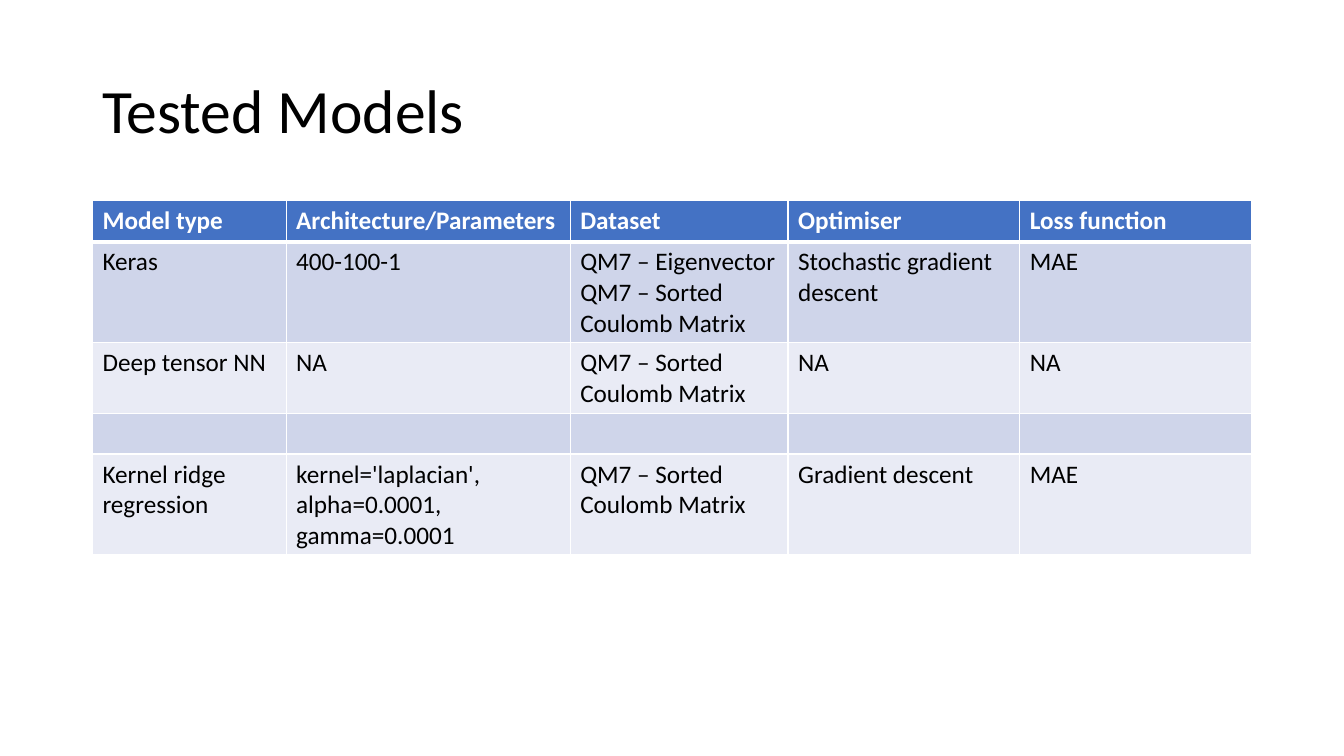
from lxml.etree import SubElement
from pptx import Presentation
from pptx.dml.color import RGBColor
from pptx.enum.text import MSO_ANCHOR
from pptx.oxml.ns import qn
from pptx.util import Cm, Pt

WHITE, BLACK, BLUE = "FFFFFF", "000000", "4472C4"
BANDS = ["E9EBF5", "CFD5EA"]
COLUMN_WIDTHS = [4.88, 7.16, 5.49, 5.84, 5.84]
ROWS = [
    ["Model type", "Architecture/Parameters", "Dataset", "Optimiser", "Loss function"],
    ["Keras", "400-100-1", "QM7 – Eigenvector\nQM7 – Sorted Coulomb Matrix",
     "Stochastic gradient descent", "MAE"],
    ["Deep tensor NN", "NA", "QM7 – Sorted Coulomb Matrix", "NA", "NA"],
    [""] * 5,
    ["Kernel ridge regression", "kernel='laplacian', alpha=0.0001, gamma=0.0001",
     "QM7 – Sorted Coulomb Matrix", "Gradient descent", "MAE"],
]


def write(frame, text, size=18, color=BLACK, bold=False, spacing=None):
    frame.text = text
    for para in frame.paragraphs:
        para.line_spacing = spacing
        for span in para.runs:
            span.font.name = "Calibri"
            span.font.size = Pt(size)
            span.font.bold = bold
            span.font.color.rgb = RGBColor.from_string(color)


def add_borders(cell, **widths):
    """Draw white cell borders; widths are points keyed by L, R, T and B."""
    properties = cell._tc.get_or_add_tcPr()
    for side, width in widths.items():
        line = SubElement(properties, qn(f"a:ln{side}"), w=str(Pt(width)))
        fill = SubElement(line, qn("a:solidFill"))
        SubElement(fill, qn("a:srgbClr"), val=WHITE)


deck = Presentation()
deck.slide_width, deck.slide_height = Cm(33.87), Cm(19.05)
page = deck.slides.add_slide(deck.slide_layouts[6])

title = page.shapes.add_textbox(Cm(2.33), Cm(1.01), Cm(29.21), Cm(3.68))
title.text_frame.word_wrap = True
title.text_frame.vertical_anchor = MSO_ANCHOR.MIDDLE
write(title.text_frame, "Tested Models", size=44, spacing=0.9)

models = page.shapes.add_table(
    len(ROWS), len(COLUMN_WIDTHS), Cm(2.33), Cm(5.06), Cm(29.21), Cm(5.15)).table
for column, width in zip(models.columns, COLUMN_WIDTHS):
    column.width = Cm(width)

for row_index, texts in enumerate(ROWS):
    header = row_index == 0
    for column_index, text in enumerate(texts):
        cell = models.cell(row_index, column_index)
        add_borders(cell, L=1, R=1, T=3 if row_index == 1 else 1, B=3 if header else 1)
        cell.fill.solid()
        cell.fill.fore_color.rgb = RGBColor.from_string(
            BLUE if header else BANDS[row_index % 2])
        write(cell.text_frame, text, color=WHITE if header else BLACK, bold=header)

deck.save("out.pptx")
